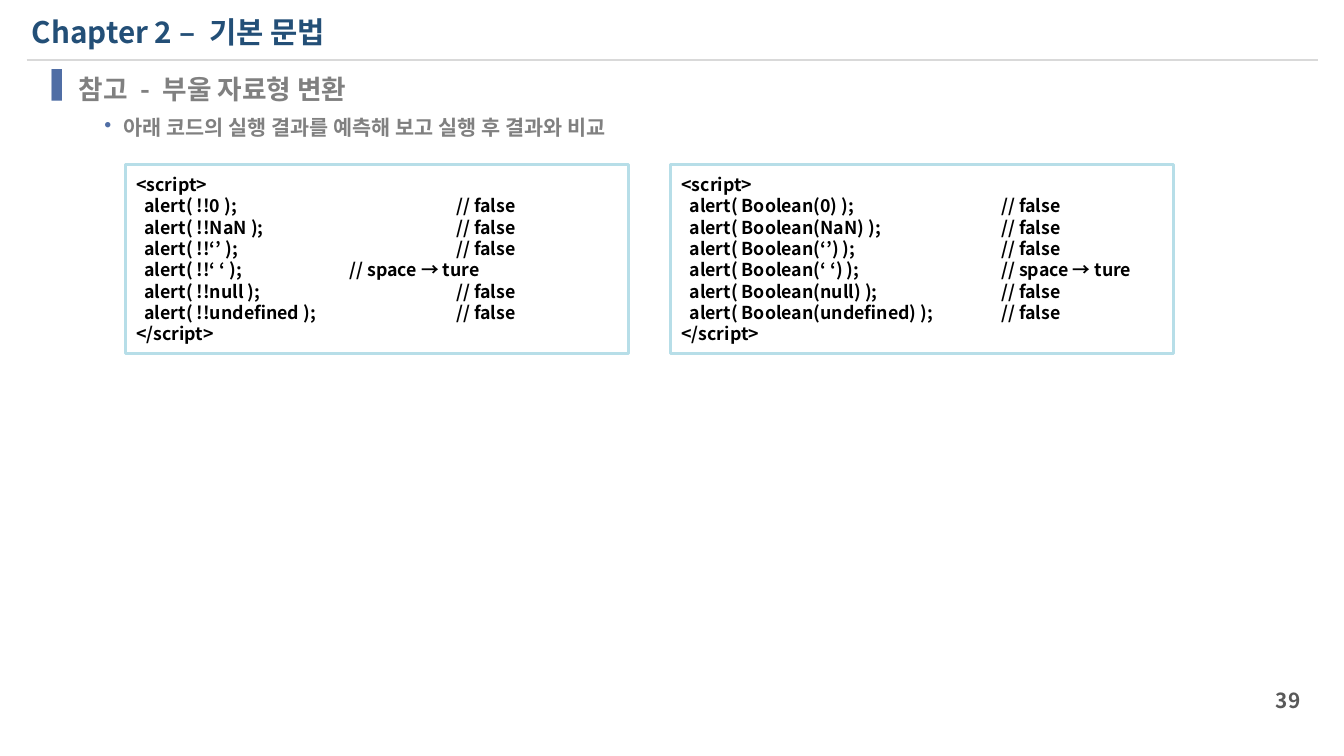
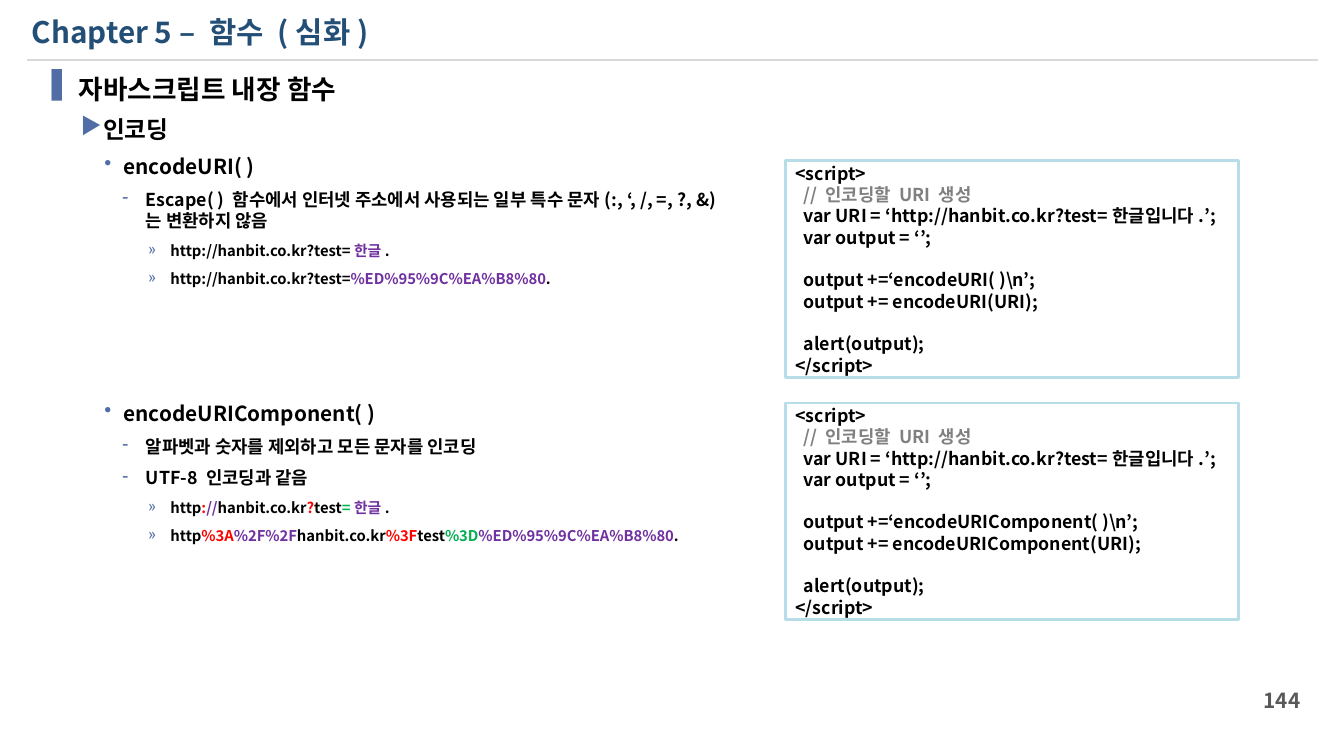
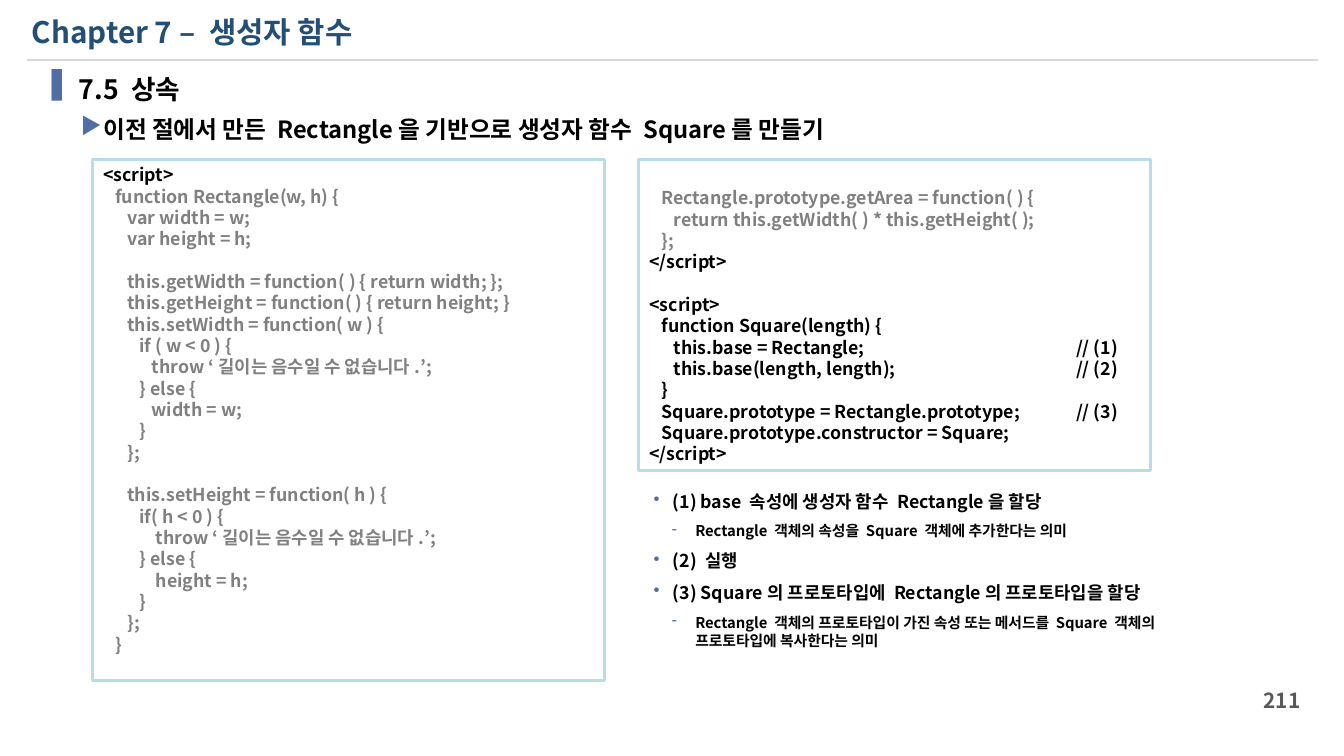
from lxml import etree
from pptx import Presentation
from pptx.dml.color import RGBColor
from pptx.enum.shapes import MSO_CONNECTOR, MSO_SHAPE
from pptx.enum.text import MSO_ANCHOR, PP_ALIGN
from pptx.oxml.ns import qn
from pptx.util import Inches, Pt

STRAIGHT = MSO_CONNECTOR.STRAIGHT
RECTANGLE = MSO_SHAPE.RECTANGLE
TOP, MIDDLE = MSO_ANCHOR.TOP, MSO_ANCHOR.MIDDLE
LEFT, RIGHT = PP_ALIGN.LEFT, PP_ALIGN.RIGHT

FONT = "Noto Sans CJK KR"
LINE_RATIO = 1.2
CODE_SIZE = 12
PARAGRAPH_GAP = 7
BLACK, GREY, NAVY, DARK_GREY = "000000", "808080", "234F77", "595959"
RULE_GREY, FRAME_BLUE, BULLET_BLUE = "D9D9D9", "B7DEE8", "506EA5"
PURPLE, RED, GREEN = "7030A0", "FF0000", "00B050"

OUTLINE = {
    "heading": {"level": 0, "size": 18, "left": 0.35, "hang": 0.35, "bullet": "▐"},
    "topic": {"level": 1, "size": 16, "left": 0.58, "hang": 0.21, "bullet": "▶"},
    "point": {"level": 2, "size": 14, "left": 0.77, "hang": 0.18, "bullet": "•"},
    "detail": {"level": 3, "size": 12, "left": 0.98, "hang": 0.22, "bullet": "-"},
    "example": {"level": 4, "size": 10, "left": 1.21, "hang": 0.21, "bullet": "»"},
}
OUTLINE["note"] = {**OUTLINE["point"], "size": 12}
OUTLINE["subnote"] = {**OUTLINE["detail"], "size": 10}

RECTANGLE_CLASS = """
   function Rectangle(w, h) {
      var width = w;
      var height = h;

      this.getWidth = function( ) { return width; };
      this.getHeight = function( ) { return height; }
      this.setWidth = function( w ) {
         if ( w < 0 ) {
            throw ‘길이는 음수일 수 없습니다.’;
         } else {
            width = w;
         }
      };

      this.setHeight = function( h ) {
         if( h < 0 ) {
             throw ‘길이는 음수일 수 없습니다.’;
         } else {
             height = h;
         }
      };
   }"""

GET_AREA = """   Rectangle.prototype.getArea = function( ) {
      return this.getWidth( ) * this.getHeight( );
   };
"""

SQUARE_CLASS = """</script>

<script>
   function Square(length) {
      this.base = Rectangle;\t// (1)
      this.base(length, length);\t// (2)
   }
   Square.prototype = Rectangle.prototype;\t// (3)
   Square.prototype.constructor = Square;
</script>"""

NOT_NOT_CODE = """<script>
  alert( !!0 );\t\t// false
  alert( !!NaN );\t\t// false
  alert( !!‘’ );\t\t// false
  alert( !!‘ ‘ );\t// space → ture
  alert( !!null );\t\t// false
  alert( !!undefined );\t\t// false
</script>"""

BOOLEAN_CODE = """<script>
  alert( Boolean(0) );\t// false
  alert( Boolean(NaN) );\t// false
  alert( Boolean(‘’) );\t// false
  alert( Boolean(‘ ‘) );\t// space → ture
  alert( Boolean(null) );\t// false
  alert( Boolean(undefined) );\t// false
</script>"""


def color(hex_value):
    """Turn a hex string into a colour."""
    return RGBColor.from_string(hex_value)


def add_run(paragraph, text, size, ink):
    """Append bold text in the deck font for Latin and Korean."""
    run = paragraph.add_run()
    run.text = text
    for name, value in {"name": FONT, "size": Pt(size), "bold": True}.items():
        setattr(run.font, name, value)
    run.font.color.rgb = color(ink)
    etree.SubElement(run.font._element, qn("a:ea"), typeface=FONT)


def format_paragraph(paragraph, size, gap=0, align=LEFT):
    """Set the line pitch, space before and alignment."""
    values = {"line_spacing": Pt(size * LINE_RATIO), "space_before": Pt(gap),
              "alignment": align}
    for name, value in values.items():
        setattr(paragraph, name, value)


def set_bullet(paragraph, style):
    """Give a paragraph its outline level, indent and coloured bullet."""
    paragraph.level = style["level"]
    properties = paragraph._p.get_or_add_pPr()
    properties.set("marL", str(Inches(style["left"])))
    properties.set("indent", str(-Inches(style["hang"])))
    bullet_color = etree.SubElement(properties, qn("a:buClr"))
    etree.SubElement(bullet_color, qn("a:srgbClr"), val=BULLET_BLUE)
    etree.SubElement(properties, qn("a:buChar"), char=style["bullet"])


def set_tabs(paragraph, stops):
    """Set left tab stops at the given inches."""
    tabs = etree.SubElement(paragraph._p.get_or_add_pPr(), qn("a:tabLst"))
    for stop in stops:
        etree.SubElement(tabs, qn("a:tab"), pos=str(Inches(stop)), algn="l")


def next_paragraph(frame, is_first):
    """Return the opening paragraph or append another."""
    return frame.paragraphs[0] if is_first else frame.add_paragraph()


def add_text_area(slide, box, anchor=TOP):
    """Add a wrapping text box and return its frame."""
    frame = slide.shapes.add_textbox(*map(Inches, box)).text_frame
    frame.word_wrap = True
    frame.vertical_anchor = anchor
    return frame


def add_label(slide, box, text, size, ink, align=LEFT):
    """Add a single line of text."""
    paragraph = add_text_area(slide, box, MIDDLE).paragraphs[0]
    format_paragraph(paragraph, size, align=align)
    add_run(paragraph, text, size, ink)


def add_outline(slide, box, items, ink=BLACK):
    """Add bulleted items given as kind, text or runs, and extra gap."""
    frame = add_text_area(slide, box)
    for index, (kind, content, *extra) in enumerate(items):
        style = OUTLINE[kind]
        paragraph = next_paragraph(frame, index == 0)
        set_bullet(paragraph, style)
        gap = PARAGRAPH_GAP + sum(extra) if index else 0
        format_paragraph(paragraph, style["size"], gap)
        runs = [(content, ink)] if isinstance(content, str) else content
        for text, run_ink in runs:
            add_run(paragraph, text, style["size"], run_ink)


def split_lines(runs):
    """Regroup coloured runs into lines of coloured pieces."""
    lines = [[]]
    for text, ink in runs:
        for index, piece in enumerate(text.split("\n")):
            if index:
                lines.append([])
            if piece:
                lines[-1].append((piece, ink))
    return lines


def add_code(slide, box, runs, stops=(), top=0.05, bottom=0.05):
    """Add a framed listing, with empty lines set as space before."""
    frame_shape = slide.shapes.add_shape(RECTANGLE, *map(Inches, box))
    frame_shape.shadow.inherit = False
    frame_shape.fill.background()
    frame_shape.line.color.rgb = color(FRAME_BLUE)
    frame_shape.line.width = Pt(2)
    frame = frame_shape.text_frame
    values = {"word_wrap": True, "vertical_anchor": MIDDLE,
              "margin_top": Inches(top), "margin_bottom": Inches(bottom)}
    for name, value in values.items():
        setattr(frame, name, value)
    gap = 0
    for index, pieces in enumerate(split_lines(runs)):
        if not pieces:
            gap += CODE_SIZE * LINE_RATIO
            continue
        paragraph = next_paragraph(frame, index == 0)
        if stops:
            set_tabs(paragraph, stops)
        format_paragraph(paragraph, CODE_SIZE, gap)
        for text, ink in pieces:
            add_run(paragraph, text, CODE_SIZE, ink)
        gap = 0


def add_page(deck, title, number):
    """Add a slide with the shared title, rule and page number."""
    slide = deck.slides.add_slide(deck.slide_layouts[6])
    rule = slide.shapes.add_connector(
        STRAIGHT, *map(Inches, (0.25, 0.56, 12.36, 0.56)))
    rule.line.color.rgb = color(RULE_GREY)
    rule.line.width = Pt(1.5)
    etree.SubElement(rule._element.spPr, qn("a:effectLst"))
    add_label(slide, (0.2, 0.08, 11.86, 0.44), title, 20, NAVY)
    add_label(slide, (11.35, 6.38, 0.94, 0.38), number, 14, DARK_GREY, RIGHT)
    return slide


def encoding_code(function):
    """Return the listing that tries one encoding function."""
    return [
        ("<script>\n  ", BLACK),
        ("// 인코딩할 URI 생성\n", GREY),
        (f"""  var URI = ‘http://hanbit.co.kr?test=한글입니다.’;
  var output = ‘’;

  output +=‘{function}( )\\n’;
  output += {function}(URI);

  alert(output);
</script>""", BLACK),
    ]


def build_boolean(deck):
    """Build the slide on Boolean conversion."""
    slide = add_page(deck, "Chapter 2 – 기본 문법", "39")
    add_outline(slide, (0.29, 0.63, 12.01, 1.91), [
        ("heading", "참고 - 부울 자료형 변환"),
        ("point", "아래 코드의 실행 결과를 예측해 보고 실행 후 결과와 비교"),
    ], GREY)
    listings = [(NOT_NOT_CODE, (2, 3)), (BOOLEAN_CODE, (3,))]
    for column, (code, stops) in enumerate(listings):
        box = (1.18 + column * 5.11, 1.54, 4.71, 1.78)
        add_code(slide, box, [(code, BLACK)], stops)


def build_encoding(deck):
    """Build the slide on the built-in encoding functions."""
    slide = add_page(deck, "Chapter 5 – 함수 (심화)", "144")
    encoded = ("%ED%95%9C%EA%B8%80", PURPLE)
    korean, stop = ("한글", PURPLE), (".", BLACK)
    address = ("http://hanbit.co.kr?test=", BLACK)
    scheme, host, query = [(part, BLACK) for part in ("http", "hanbit.co.kr", "test")]
    add_outline(slide, (0.29, 0.63, 6.56, 1.91), [
        ("heading", "자바스크립트 내장 함수"),
        ("topic", "인코딩"),
        ("point", "encodeURI( )"),
        ("detail", "Escape( ) 함수에서 인터넷 주소에서 사용되는 일부 특수 문자"
                   "(:, ‘, /, =, ?, &)는 변환하지 않음"),
        ("example", [address, korean, stop]),
        ("example", [address, encoded, stop]),
        ("point", "encodeURIComponent( )", 69),
        ("detail", "알파벳과 숫자를 제외하고 모든 문자를 인코딩"),
        ("detail", "UTF-8 인코딩과 같음"),
        ("example", [scheme, (":", RED), ("//", PURPLE), host, ("?", RED),
                     query, ("=", GREEN), korean, stop]),
        ("example", [scheme, ("%3A", RED), ("%2F%2F", PURPLE), host, ("%3F", RED),
                     query, ("%3D", GREEN), encoded, stop]),
    ])
    for row, function in enumerate(("encodeURI", "encodeURIComponent")):
        box = (7.36, 1.51 + row * 2.27, 4.25, 2.03)
        add_code(slide, box, encoding_code(function))


def build_inheritance(deck):
    """Build the slide on inheritance."""
    slide = add_page(deck, "Chapter 7 – 생성자 함수", "211")
    add_outline(slide, (0.29, 0.63, 12.01, 1.91), [
        ("heading", "7.5 상속"),
        ("topic", "이전 절에서 만든 Rectangle을 기반으로 생성자 함수 Square를 만들기"),
    ])
    add_code(slide, (0.87, 1.5, 4.8, 4.88),
             [("<script>", BLACK), (RECTANGLE_CLASS, GREY)], bottom=0.25)
    add_code(slide, (5.99, 1.5, 4.8, 2.91),
             [(GET_AREA, GREY), (SQUARE_CLASS, BLACK)], (4,), top=0.25)
    add_outline(slide, (5.44, 4.55, 6.14, 1.91), [
        ("note", "(1) base 속성에 생성자 함수 Rectangle을 할당"),
        ("subnote", "Rectangle 객체의 속성을 Square 객체에 추가한다는 의미"),
        ("note", "(2) 실행"),
        ("note", "(3) Square의 프로토타입에 Rectangle의 프로토타입을 할당"),
        ("subnote", "Rectangle 객체의 프로토타입이 가진 속성 또는 메서드를 "
                    "Square 객체의 프로토타입에 복사한다는 의미"),
    ])


def main():
    """Build and save the deck."""
    deck = Presentation()
    deck.slide_width, deck.slide_height = Inches(12.6), Inches(7.09)
    build_boolean(deck)
    build_encoding(deck)
    build_inheritance(deck)
    deck.save("out.pptx")


if __name__ == "__main__":
    main()
